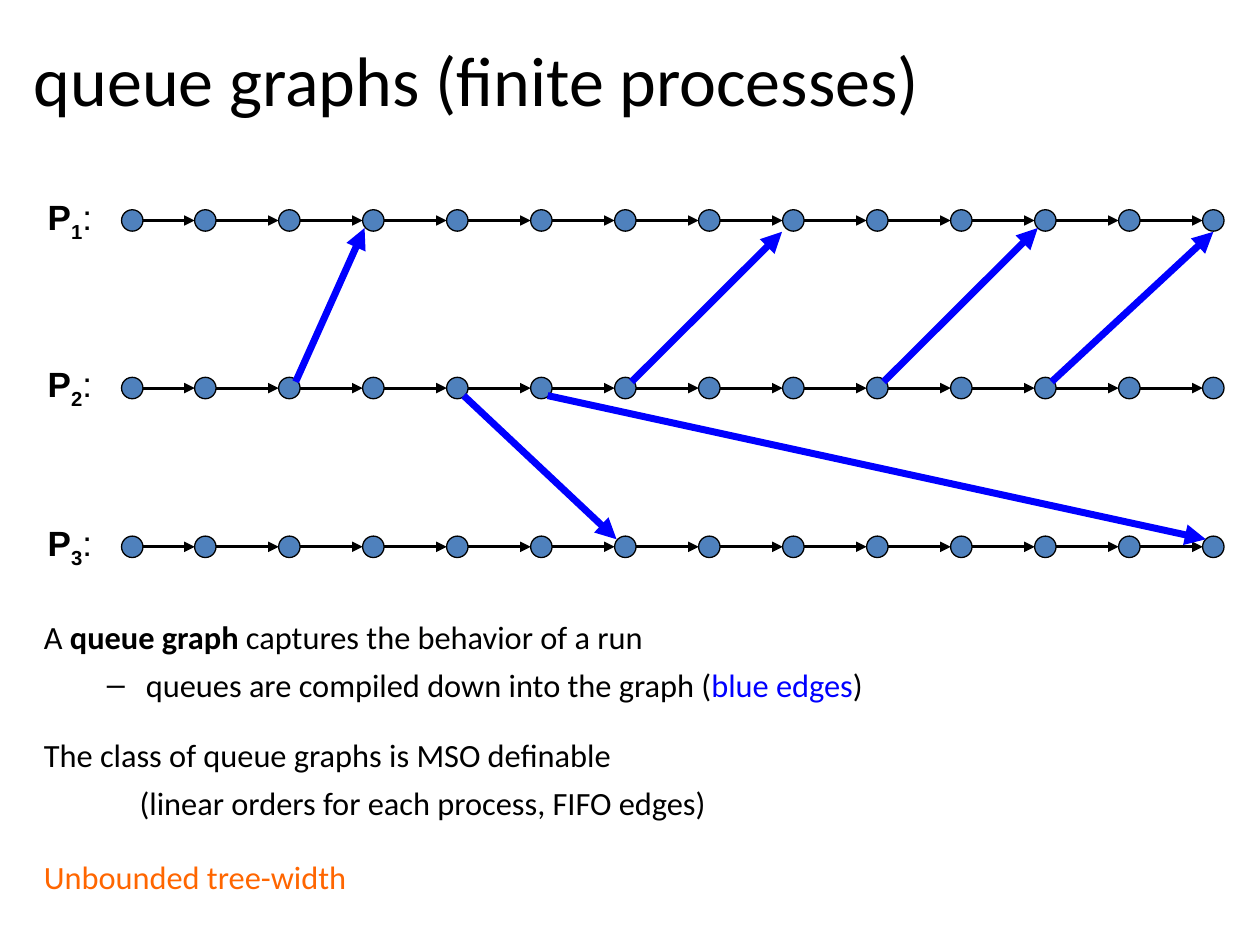
from lxml.etree import SubElement
from pptx import Presentation
from pptx.dml.color import RGBColor
from pptx.enum.shapes import MSO_CONNECTOR, MSO_SHAPE
from pptx.enum.text import MSO_ANCHOR
from pptx.oxml.ns import qn
from pptx.util import Inches, Pt

BLACK = RGBColor(0x00, 0x00, 0x00)
BLUE = RGBColor(0x00, 0x00, 0xFF)
NODE_BLUE = RGBColor(0x4F, 0x81, 0xBD)
ORANGE = RGBColor(0xFF, 0x66, 0x00)

NODE_SIZE = 0.17
RADIUS = NODE_SIZE / 2
COLUMN_STEP = 2 / 3
COLUMNS = [1.05] + [1.63 + COLUMN_STEP * step for step in range(13)]
ROWS = [1.75, 3.08, 4.34]

deck = Presentation()
deck.slide_width, deck.slide_height = Inches(10), Inches(7.5)
page = deck.slides.add_slide(deck.slide_layouts[6])


def add_arrow(start, end, color, width):
    arrow = page.shapes.add_connector(
        MSO_CONNECTOR.STRAIGHT, *[Inches(length) for length in (*start, *end)]
    )
    arrow.line.color.rgb = color
    arrow.line.width = Pt(width)
    properties = arrow.element.spPr
    SubElement(properties.get_or_add_ln(), qn("a:tailEnd"), type="triangle")
    SubElement(properties, qn("a:effectLst"))


def add_text(left, top, width, height, wrap=True):
    box = page.shapes.add_textbox(*[Inches(length) for length in (left, top, width, height)])
    box.text_frame.word_wrap = wrap
    return box.text_frame


title = add_text(0.17, 0, 9.75, 1.25)
title.vertical_anchor = MSO_ANCHOR.MIDDLE
para = title.paragraphs[0]
para.text = "queue graphs (finite processes)"
para.font.name, para.font.size = "Calibri", Pt(40)
para.font.color.rgb = BLACK

for number, row in enumerate(ROWS, 1):
    for column in COLUMNS:
        node = page.shapes.add_shape(
            MSO_SHAPE.FLOWCHART_CONNECTOR,
            Inches(column - RADIUS), Inches(row - RADIUS), Inches(NODE_SIZE), Inches(NODE_SIZE),
        )
        node.shadow.inherit = False
        node.fill.solid()
        node.fill.fore_color.rgb = NODE_BLUE
        node.line.color.rgb = BLACK
        node.line.width = Pt(0.75)
    for column, following in zip(COLUMNS, COLUMNS[1:]):
        add_arrow((column + RADIUS, row), (following - RADIUS, row), BLACK, 1.75)

    para = add_text(0.28, row - 0.25, 0.55, 0.48, wrap=False).paragraphs[0]
    para.font.name, para.font.size = "Arial", Pt(20)
    para.font.color.rgb = BLACK
    for words, bold in (("P", True), (str(number), True), (":", False)):
        span = para.add_run()
        span.text = words
        span.font.bold = bold
    para.runs[1]._r.get_or_add_rPr().set("baseline", "-25000")

queue_edges = [
    (2, 0, 3, -0.07, 0.06),
    (6, 0, 8, -0.09, 0.09),
    (9, 0, 11, -0.06, 0.06),
    (11, 0, 13, 0, 0.09),
    (4, 2, 6, -0.07, -0.06),
    (5, 2, 13, -0.06, -0.06),
]
for sender, target_row, receiver, shift_x, shift_y in queue_edges:
    lift = -0.05 if target_row == 0 else 0.06
    add_arrow(
        (COLUMNS[sender] + 0.05, ROWS[1] + lift),
        (COLUMNS[receiver] + shift_x, ROWS[target_row] + shift_y),
        BLUE, 4,
    )

statements = [
    (0, 0, False, [("A ", False, BLACK), ("queue graph", True, BLACK),
                   (" captures the behavior of a run", False, BLACK)]),
    (5, 0.81, True, [("queues are compiled down into the graph (", False, BLACK),
                     ("blue edges", False, BLUE), (")", False, BLACK)]),
    (18, 0, False, [("The class of queue graphs is MSO definable", False, BLACK)]),
    (5, 0.76, False, [("(linear orders for each process, FIFO edges)", False, BLACK)]),
    (20, 0, False, [("Unbounded tree-width", False, ORANGE)]),
]
body = add_text(0.25, 4.85, 9.58, 2.33)
for index, (space, indent, bulleted, spans) in enumerate(statements):
    para = body.add_paragraph() if index else body.paragraphs[0]
    para.space_before = Pt(space)
    properties = para._p.get_or_add_pPr()
    properties.set("marL", str(Inches(indent)))
    if bulleted:
        para.level = 1
        properties.set("indent", str(Inches(-0.31)))
        SubElement(properties, qn("a:buFont"), typeface="Arial")
        SubElement(properties, qn("a:buChar"), char="–")
    para.font.name, para.font.size = "Calibri", Pt(18.5)
    for words, bold, color in spans:
        span = para.add_run()
        span.text = words
        span.font.bold = bold
        span.font.color.rgb = color

deck.save("out.pptx")
